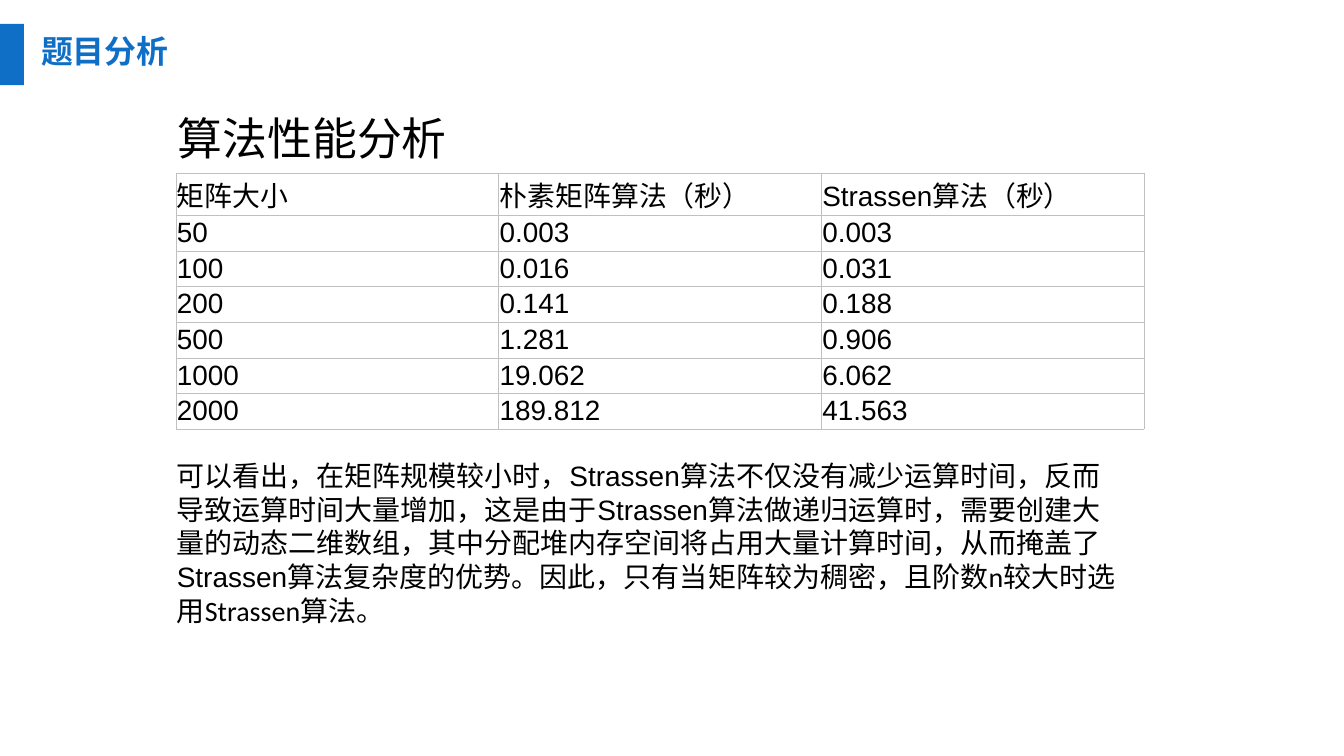
from dataclasses import dataclass

from lxml import etree
from pptx import Presentation
from pptx.dml.color import RGBColor
from pptx.enum.shapes import MSO_SHAPE
from pptx.enum.text import MSO_ANCHOR, MSO_AUTO_SIZE, PP_ALIGN
from pptx.oxml.ns import qn
from pptx.util import Inches, Pt

RECTANGLE = MSO_SHAPE.RECTANGLE
TOP, MIDDLE = MSO_ANCHOR.TOP, MSO_ANCHOR.MIDDLE
LEFT = PP_ALIGN.LEFT
NO_AUTOFIT = MSO_AUTO_SIZE.NONE


@dataclass(frozen=True)
class Theme:
    accent: RGBColor = RGBColor(0x0F, 0x6F, 0xC6)
    text: RGBColor = RGBColor(0, 0, 0)
    border: str = "C0C0C0"
    chinese: str = "Noto Sans CJK SC"
    latin: str = "Arial"
    heading: str = "Calibri"
    title_size: float = 24
    heading_size: float = 33.8
    table_size: float = 21
    body_size: float = 21.1


THEME = Theme()

TIMINGS = [
    ("矩阵大小", "朴素矩阵算法（秒）", "Strassen算法（秒）"),
    ("50", "0.003", "0.003"),
    ("100", "0.016", "0.031"),
    ("200", "0.141", "0.188"),
    ("500", "1.281", "0.906"),
    ("1000", "19.062", "6.062"),
    ("2000", "189.812", "41.563"),
]
CONCLUSION = [
    ("可以看出，在矩阵规模较小时，Strassen算法不仅没有减少运算时间，反而导致运算时间大量增加，"
     "这是由于Strassen算法做递归运算时，需要创建大量的动态二维数组，其中分配堆内存空间将占用"
     "大量计算时间，从而掩盖了Strassen算法复杂度的优势。因此，只有当", THEME.latin),
    ("矩阵较为稠密，且阶数n较大时选用Strassen算法。", THEME.heading),
]


def format_run(run, size, typeface, color=THEME.text, east_asian=None, bold=False):
    run.font.size = Pt(size)
    run.font.name = typeface
    run.font.bold = bold
    run.font.color.rgb = color
    if east_asian:
        latin = run.font._element.find(qn("a:latin"))
        font = etree.Element(qn("a:ea"), typeface=east_asian)
        latin.addnext(font)


def place(shape, left, top, width, height):
    shape.left, shape.top = Inches(left), Inches(top)
    shape.width, shape.height = Inches(width), Inches(height)


def set_margins(target, margin):
    target.margin_left = target.margin_right = Inches(margin)
    target.margin_top = target.margin_bottom = Inches(margin)


def add_title_bar(slide, left, top, width, height):
    """Accent block at the slide edge with the section title beside it."""
    block = slide.shapes.add_shape(
        RECTANGLE, Inches(left), Inches(top), Inches(0.25), Inches(height))
    block.shadow.inherit = False
    block.fill.solid()
    block.fill.fore_color.rgb = THEME.accent
    block.line.fill.background()

    title = slide.shapes.title
    place(title, left + 0.43, top + 0.08, width - 0.43, 0.4)
    frame = title.text_frame
    frame.text = "题目分析"
    frame.auto_size = NO_AUTOFIT
    frame.word_wrap = False
    frame.vertical_anchor = TOP
    set_margins(frame, 0)
    paragraph = frame.paragraphs[0]
    paragraph.alignment = LEFT
    format_run(paragraph.runs[0], THEME.title_size, THEME.chinese,
               THEME.accent, THEME.chinese, bold=True)


def add_heading(slide, left, top, width, height):
    box = slide.shapes.add_textbox(
        Inches(left), Inches(top), Inches(width), Inches(height))
    box.text_frame.word_wrap = True
    box.text_frame.text = "算法性能分析"
    format_run(box.text_frame.paragraphs[0].runs[0],
               THEME.heading_size, THEME.heading)


def set_borders(cell):
    properties = cell._tc.get_or_add_tcPr()
    for position, side in enumerate(("lnL", "lnR", "lnT", "lnB")):
        line = etree.Element(qn(f"a:{side}"), w=str(Pt(0.3)))
        fill = etree.SubElement(line, qn("a:solidFill"))
        etree.SubElement(fill, qn("a:srgbClr"), val=THEME.border)
        properties.insert(position, line)


def add_timing_table(slide, left, top, width, height):
    frame = slide.shapes.add_table(
        len(TIMINGS), len(TIMINGS[0]),
        Inches(left), Inches(top), Inches(width), Inches(height))
    table = frame.table
    table.first_row = table.horz_banding = False
    for row, values in zip(table.rows, TIMINGS):
        row.height = Inches(height / len(TIMINGS))
        for cell, value in zip(row.cells, values):
            cell.text = value
            cell.vertical_anchor = MIDDLE
            set_margins(cell, 0.01)
            cell.fill.background()
            set_borders(cell)
            format_run(cell.text_frame.paragraphs[0].runs[0],
                       THEME.table_size, THEME.latin, east_asian=THEME.chinese)


def add_conclusion(slide, left, top, width, height):
    body = slide.placeholders[1]
    place(body, left, top, width, height)
    frame = body.text_frame
    frame.auto_size = NO_AUTOFIT
    frame.word_wrap = True
    frame.vertical_anchor = TOP
    paragraph = frame.paragraphs[0]
    paragraph.space_before = Pt(0)
    properties = paragraph._p.get_or_add_pPr()
    properties.set("marL", str(Inches(0.01)))
    properties.set("indent", "0")
    etree.SubElement(properties, qn("a:buNone"))
    for text, typeface in CONCLUSION:
        run = paragraph.add_run()
        run.text = text
        format_run(run, THEME.body_size, typeface)


def main():
    presentation = Presentation()
    presentation.slide_width = Inches(14.06)
    presentation.slide_height = Inches(7.91)
    slide = presentation.slides.add_slide(presentation.slide_layouts[1])
    add_timing_table(slide, 1.84, 1.81, 10.13, 2.61)
    add_heading(slide, 1.76, 1.11, 3.13, 0.67)
    add_conclusion(slide, 1.74, 4.75, 10.13, 2.79)
    add_title_bar(slide, 0, 0.25, 1.78, 0.64)
    presentation.save("out.pptx")


if __name__ == "__main__":
    main()
